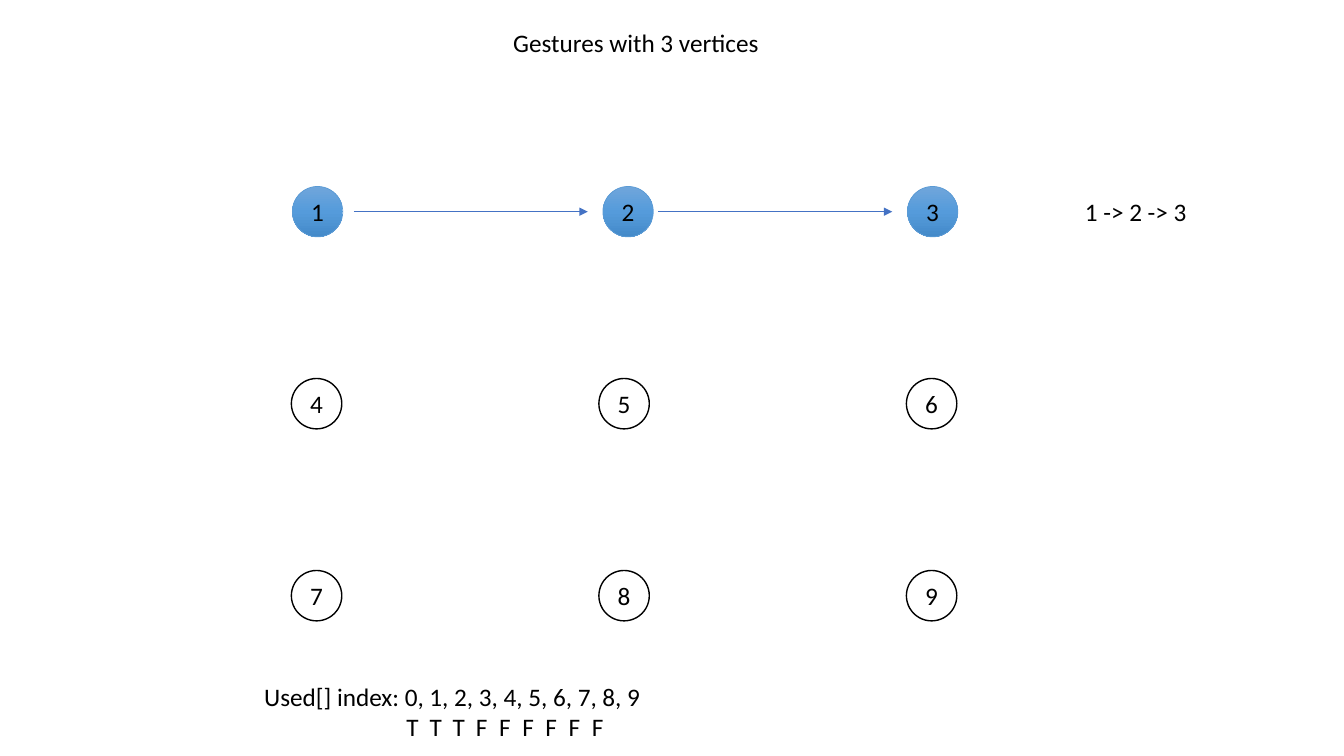
"""Build the slide that shows a three-vertex gesture on a 3 by 3 grid."""
from copy import deepcopy

from lxml import etree
from pptx import Presentation
from pptx.dml.color import RGBColor
from pptx.enum import shapes, text
from pptx.oxml.ns import qn
from pptx.util import Inches, Pt

BLACK = RGBColor(0x00, 0x00, 0x00)
WHITE = RGBColor(0xFF, 0xFF, 0xFF)
ARROW_BLUE = RGBColor(0x44, 0x72, 0xC4)
RIM_BLUE = RGBColor(0x5B, 0x9B, 0xD5)
USED_SHADES = (
    RGBColor(0x70, 0xA6, 0xDB),
    RGBColor(0x55, 0x9B, 0xDB),
    RGBColor(0x44, 0x8A, 0xC9),
)
DIAMETER = 0.5
FIRST_ROW, ROW_STEP = 1.85, 1.905
USED_COLUMNS = (2.9, 5.98, 9.0)
FREE_COLUMNS = (2.89, 5.94, 8.99)
ARROW_STARTS, ARROW_LENGTH = (3.51, 6.53), 2.32
FLAG_START, FLAG_STEP = 1.41, 0.23


def format_text(frame, align, anchor, inset=0.05, wrap=True):
    """Apply the common font, insets and alignment to a text frame."""
    frame.word_wrap = wrap
    frame.auto_size = text.MSO_AUTO_SIZE.NONE
    frame.vertical_anchor = anchor
    frame.margin_left = frame.margin_right = Inches(inset)
    frame.margin_top = frame.margin_bottom = Inches(inset)
    for paragraph in frame.paragraphs:
        paragraph.alignment = align
        for run in paragraph.runs:
            run.font.name = "Calibri"
            run.font.size = Pt(18)
            run.font.color.rgb = BLACK


def set_title(slide, wording):
    """Fill and place the title placeholder."""
    title = slide.shapes.title
    title.left, title.top = Inches(5.04), Inches(0.22)
    title.width, title.height = Inches(2.83), Inches(0.39)
    title.text_frame.text = wording
    format_text(title.text_frame, text.PP_ALIGN.LEFT, text.MSO_ANCHOR.TOP, wrap=False)


def add_label(slide, wording, left, top, width, height):
    """Add a left-aligned text box and return its text frame."""
    label = slide.shapes.add_textbox(
        Inches(left), Inches(top), Inches(width), Inches(height)
    )
    label.text_frame.text = wording
    format_text(label.text_frame, text.PP_ALIGN.LEFT, text.MSO_ANCHOR.TOP)
    return label.text_frame


def shade_used(vertex):
    """Fill a vertex with the three-stop vertical blue gradient."""
    vertex.fill.gradient()
    vertex.fill.gradient_angle = 270
    stop_list = vertex.element.spPr.find(".//" + qn("a:gsLst"))
    stop_list.insert(1, deepcopy(stop_list[0]))
    for stop, shade, position in zip(
        vertex.fill.gradient_stops, USED_SHADES, (0, 0.5, 1)
    ):
        stop.color.rgb = shade
        stop.position = position


def add_vertex(slide, number, left, top, used):
    """Add a numbered circle, blue when the gesture uses it."""
    vertex = slide.shapes.add_shape(
        shapes.MSO_SHAPE.OVAL,
        Inches(left), Inches(top), Inches(DIAMETER), Inches(DIAMETER),
    )
    vertex.shadow.inherit = False
    if used:
        shade_used(vertex)
    else:
        vertex.fill.solid()
        vertex.fill.fore_color.rgb = WHITE
    vertex.line.color.rgb = RIM_BLUE if used else BLACK
    vertex.line.width = Pt(0.5 if used else 1)
    vertex.text_frame.text = str(number)
    format_text(
        vertex.text_frame, text.PP_ALIGN.CENTER, text.MSO_ANCHOR.MIDDLE, inset=0
    )


def add_arrow(slide, start, end, height):
    """Add a horizontal arrow between two vertices."""
    arrow = slide.shapes.add_connector(
        shapes.MSO_CONNECTOR.STRAIGHT,
        Inches(start), Inches(height), Inches(end), Inches(height),
    )
    arrow.line.color.rgb = ARROW_BLUE
    arrow.line.width = Pt(1)
    etree.SubElement(arrow.line._get_or_add_ln(), qn("a:tailEnd"), type="triangle")
    etree.SubElement(arrow.element.spPr, qn("a:effectLst"))


def add_tab_stops(paragraph, count):
    """Give a paragraph evenly spaced tab stops for the flags."""
    tab_list = etree.SubElement(paragraph._p.get_or_add_pPr(), qn("a:tabLst"))
    for index in range(count):
        position = Inches(FLAG_START + index * FLAG_STEP)
        etree.SubElement(tab_list, qn("a:tab"), pos=str(position), algn="l")


def main():
    """Create the presentation and save it."""
    deck = Presentation()
    deck.slide_width, deck.slide_height = Inches(13.33), Inches(7.5)
    slide = deck.slides.add_slide(deck.slide_layouts[5])
    set_title(slide, "Gestures with 3 vertices")

    for index in range(9):
        row, column = divmod(index, 3)
        used = row == 0
        columns = USED_COLUMNS if used else FREE_COLUMNS
        add_vertex(slide, index + 1, columns[column], FIRST_ROW + row * ROW_STEP, used)
    for start in ARROW_STARTS:
        add_arrow(slide, start, start + ARROW_LENGTH, FIRST_ROW + DIAMETER / 2)

    add_label(slide, "1 -> 2 -> 3", 10.71, 1.9, 1.42, 0.39)
    flags = "TTTFFFFFF"
    indexes = ", ".join(str(index) for index in range(10))
    flag_line = "".join("\t" + flag for flag in flags)
    used_frame = add_label(
        slide, f"Used[] index: {indexes}\n{flag_line}", 2.57, 6.71, 7.78, 0.68
    )
    add_tab_stops(used_frame.paragraphs[1], len(flags))
    deck.save("out.pptx")


if __name__ == "__main__":
    main()
